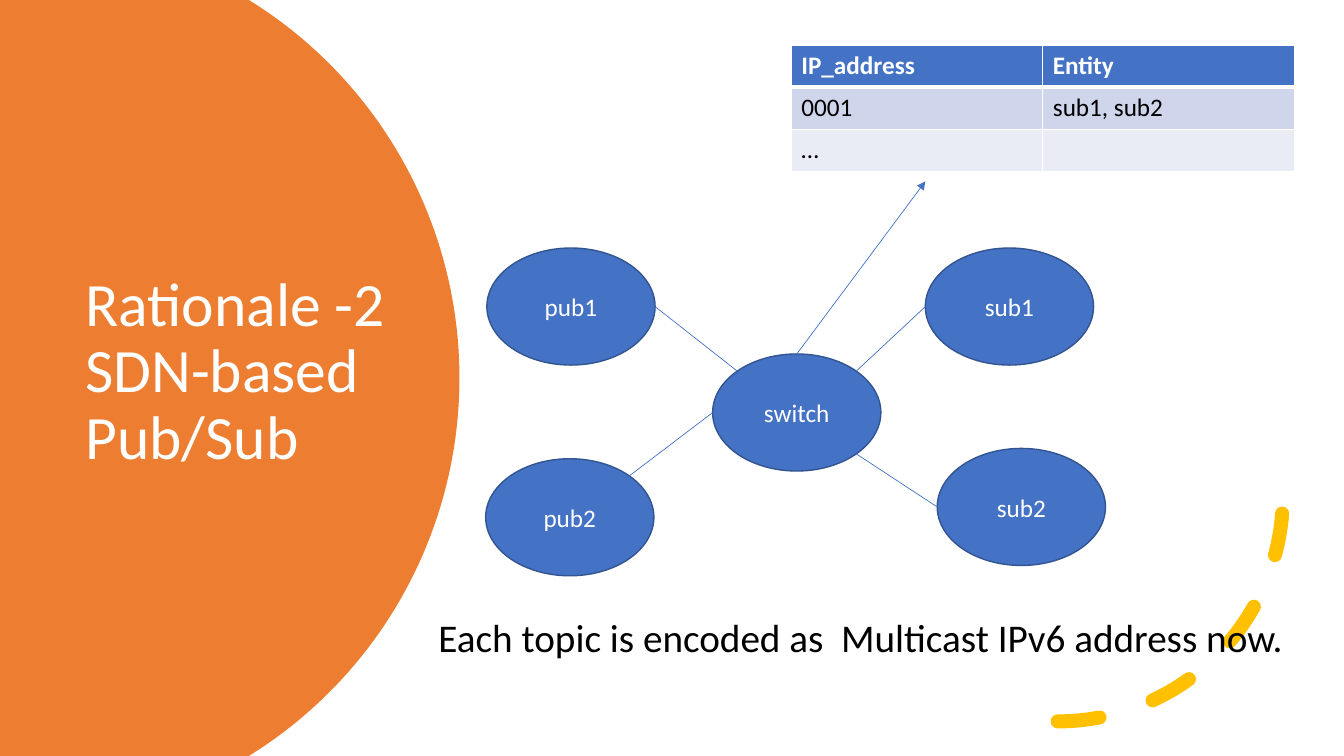
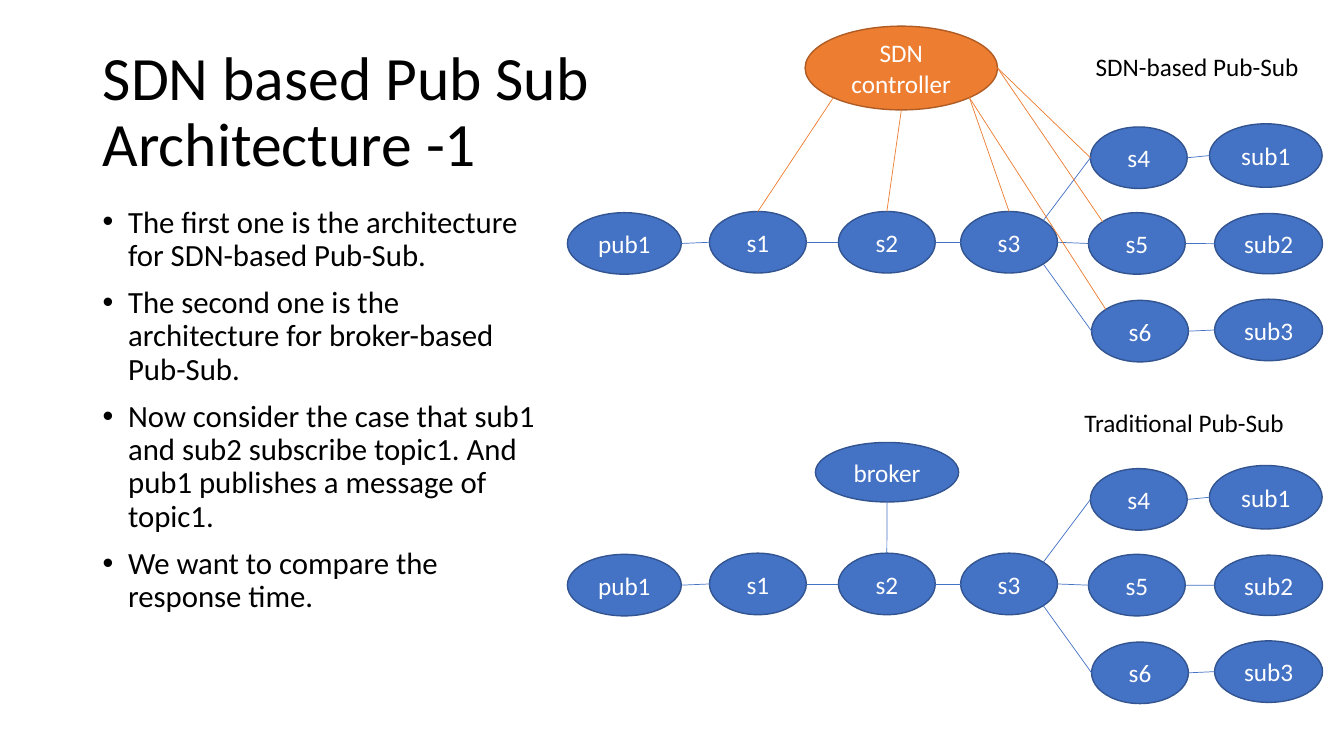
import math
from dataclasses import dataclass

from lxml import etree
from pptx import Presentation
from pptx.dml.color import RGBColor
from pptx.enum.dml import MSO_LINE
from pptx.enum.shapes import MSO_CONNECTOR, MSO_SHAPE
from pptx.enum.text import MSO_ANCHOR, MSO_AUTO_SIZE, PP_ALIGN
from pptx.oxml.ns import qn
from pptx.shapes.autoshape import Shape
from pptx.shapes.connector import Connector
from pptx.slide import Slide
from pptx.table import _Cell
from pptx.util import Cm, Pt

ELLIPSE, ARC = MSO_SHAPE.OVAL, MSO_SHAPE.ARC
STRAIGHT = MSO_CONNECTOR.STRAIGHT
DASH = MSO_LINE.DASH
MIDDLE, TOP = MSO_ANCHOR.MIDDLE, MSO_ANCHOR.TOP
CENTER, LEFT = PP_ALIGN.CENTER, PP_ALIGN.LEFT
GROW = MSO_AUTO_SIZE.SHAPE_TO_FIT_TEXT

FONT = "Calibri"
COLORS = {
    "white": "FFFFFF",
    "black": "000000",
    "blue": "4472C4",
    "blue_edge": "325491",
    "orange": "ED7D31",
    "orange_edge": "AF5C24",
    "gold": "FFC000",
    "band_dark": "CFD5EA",
    "band_light": "E9EBF5",
}
SLIDE_WIDTH, SLIDE_HEIGHT = 33.87, 19.05
N, NW, W, SW, S, SE, E, NE = range(8)


@dataclass(frozen=True)
class Node:
    name: str
    left: float
    top: float
    width: float = 2.44
    height: float = 1.55
    color: str = "blue"

    def site(self, index: int) -> tuple[float, float]:
        angle = math.radians(45 * index)
        return (self.left + self.width / 2 * (1 - math.sin(angle)),
                self.top + self.height / 2 * (1 - math.cos(angle)))


@dataclass(frozen=True)
class Link:
    start: str
    start_site: int
    end: str
    end_site: int
    color: str = "blue"


PUB_SUB_SIZE = (4.24, 2.95)
PUB_SUB_NODES = [
    Node("pub2", 12.24, 11.56, *PUB_SUB_SIZE),
    Node("pub1", 12.27, 6.25, *PUB_SUB_SIZE),
    Node("switch", 17.96, 8.92, *PUB_SUB_SIZE),
    Node("sub1", 23.32, 6.25, *PUB_SUB_SIZE),
    Node("sub2", 23.62, 11.3, *PUB_SUB_SIZE),
]
PUB_SUB_LINKS = [
    Link("pub2", NE, "switch", W),
    Link("switch", NE, "sub1", W),
    Link("switch", SE, "sub2", W),
    Link("pub1", E, "switch", NW),
]
ADDRESS_ROWS = [("IP_address", "Entity"), ("0001", "sub1, sub2"), ("…", "")]
ROW_FILLS = ["blue", "band_dark", "band_light"]

NETWORK_NODES = [
    Node("pub1", 14.3, 5.36, 2.87),
    Node("s1", 17.88, 5.33),
    Node("s2", 21.13, 5.33),
    Node("s3", 24.21, 5.33),
    Node("s4", 27.48, 3.2),
    Node("s5", 27.43, 5.36),
    Node("s6", 27.51, 7.57),
    Node("sub1", 30.48, 3.12, 2.84, 1.6),
    Node("sub2", 30.61, 5.38, 2.72, 1.52),
    Node("sub3", 30.61, 7.54, 2.72),
]
NETWORK_LINKS = [
    Link("pub1", E, "s1", W),
    Link("s1", E, "s2", W),
    Link("s2", E, "s3", W),
    Link("s3", E, "s5", W),
    Link("s3", NE, "s4", W),
    Link("s3", SE, "s6", W),
    Link("s4", E, "sub1", W),
    Link("s5", E, "sub2", W),
    Link("s6", E, "sub3", W),
]
CONTROLLER = Node("SDN controller", 20.29, 0.66, 4.85, 2.11, "orange")
CONTROLLER_LINKS = [
    Link(CONTROLLER.name, start_site, end, end_site, "orange")
    for start_site, end, end_site in [
        (SW, "s1", N), (S, "s2", N), (SE, "s3", N),
        (E, "s4", W), (SE, "s6", NW), (E, "s5", NW),
    ]
]
BROKER = Node("broker", 20.55, 11.15, 3.61, 1.5)
BROKER_LINKS = [Link("s2", N, "broker", S)]
TRADITIONAL_OFFSET = 8.61
BULLETS = [
    "The first one is the architecture for SDN-based Pub-Sub.",
    "The second one is the architecture for broker-based Pub-Sub.",
    "Now consider the case that sub1 and sub2 subscribe topic1. "
    "And pub1 publishes a message of topic1.",
    "We want to compare the response time.",
]


def rgb(name: str) -> RGBColor:
    return RGBColor.from_string(COLORS[name])


def format_text(holder: Shape | _Cell, size: float, color: str,
                align: PP_ALIGN = LEFT, bold: bool = False) -> None:
    for paragraph in holder.text_frame.paragraphs:
        paragraph.alignment = align
        for run in paragraph.runs:
            run.font.name = FONT
            run.font.size = Pt(size)
            run.font.bold = bold
            run.font.color.rgb = rgb(color)


def add_text(slide: Slide, text: str, box: tuple[float, float, float, float],
             size: float, color: str = "black", anchor: MSO_ANCHOR = TOP,
             wrap: bool = True) -> Shape:
    shape = slide.shapes.add_textbox(*map(Cm, box))
    frame = shape.text_frame
    frame.word_wrap = wrap
    frame.vertical_anchor = anchor
    if not wrap:
        frame.auto_size = GROW
    frame.text = text
    format_text(shape, size, color)
    return shape


def add_title(slide: Slide, text: str, box: tuple[float, float, float, float],
              color: str) -> None:
    shape = add_text(slide, text, box, 44, color, MIDDLE)
    shape.text_frame.paragraphs[0].line_spacing = 0.9


def add_node(slide: Slide, node: Node) -> Shape:
    shape = slide.shapes.add_shape(
        ELLIPSE, Cm(node.left), Cm(node.top), Cm(node.width), Cm(node.height))
    shape.shadow.inherit = False
    shape.fill.solid()
    shape.fill.fore_color.rgb = rgb(node.color)
    shape.line.color.rgb = rgb(f"{node.color}_edge")
    shape.line.width = Pt(1)
    shape.text_frame.vertical_anchor = MIDDLE
    shape.text_frame.text = node.name
    format_text(shape, 18, "white", CENTER)
    return shape


def add_line(slide: Slide, start: tuple[float, float], end: tuple[float, float],
             color: str) -> Connector:
    connector = slide.shapes.add_connector(STRAIGHT, *map(Cm, (*start, *end)))
    connector.line.color.rgb = rgb(color)
    connector.line.width = Pt(0.5)
    etree.SubElement(connector._element.spPr, qn("a:effectLst"))
    return connector


def glue(connector: Connector, tag: str, shape: Shape, site: int) -> None:
    properties = connector._element.nvCxnSpPr.cNvCxnSpPr
    etree.SubElement(properties, qn(tag), id=str(shape.shape_id), idx=str(site))


def add_graph(slide: Slide, nodes: list[Node], links: list[Link]) -> dict[str, Shape]:
    by_name = {node.name: node for node in nodes}
    shapes = {node.name: add_node(slide, node) for node in nodes}
    for link in links:
        connector = add_line(slide, by_name[link.start].site(link.start_site),
                             by_name[link.end].site(link.end_site), link.color)
        glue(connector, "a:stCxn", shapes[link.start], link.start_site)
        glue(connector, "a:endCxn", shapes[link.end], link.end_site)
    return shapes


def add_side_disc(slide: Slide) -> None:
    center_x, center_y, radius, steps = 0.38, SLIDE_HEIGHT / 2, 11.2, 90
    limit = math.asin(center_y / radius)
    angles = [limit * (2 * step / steps - 1) for step in range(steps + 1)]
    rim = [(Cm(center_x + radius * math.cos(angle)),
            Cm(center_y + radius * math.sin(angle))) for angle in angles]
    builder = slide.shapes.build_freeform(0, 0)
    builder.add_line_segments([*rim, (0, Cm(SLIDE_HEIGHT))], close=True)
    disc = builder.convert_to_shape()
    disc.shadow.inherit = False
    disc.fill.solid()
    disc.fill.fore_color.rgb = rgb("orange")
    disc.line.fill.background()


def add_dashed_arc(slide: Slide) -> None:
    arc = slide.shapes.add_shape(ARC, Cm(20.98), Cm(6.83), Cm(11.35), Cm(11.35))
    arc.shadow.inherit = False
    arc.fill.background()
    arc.line.color.rgb = rgb("gold")
    arc.line.width = Pt(10)
    arc.line.dash_style = DASH
    arc._element.spPr.find(qn("a:ln")).set("cap", "rnd")
    arc._element.spPr.find(qn("a:xfrm")).set("flipV", "1")


def set_borders(cell: _Cell, top: float, bottom: float) -> None:
    properties = cell._tc.get_or_add_tcPr()
    for side, width in {"L": 1, "R": 1, "T": top, "B": bottom}.items():
        line = etree.SubElement(properties, qn(f"a:ln{side}"), w=str(Pt(width)))
        fill = etree.SubElement(line, qn("a:solidFill"))
        etree.SubElement(fill, qn("a:srgbClr"), val=COLORS["white"])


def add_address_table(slide: Slide) -> None:
    table = slide.shapes.add_table(
        len(ADDRESS_ROWS), 2, Cm(19.94), Cm(1.14), Cm(12.68), Cm(3.18)).table
    for row, (texts, fill) in enumerate(zip(ADDRESS_ROWS, ROW_FILLS)):
        header = row == 0
        for column, text in enumerate(texts):
            cell = table.cell(row, column)
            set_borders(cell, 3 if row == 1 else 1, 3 if header else 1)
            cell.fill.solid()
            cell.fill.fore_color.rgb = rgb(fill)
            cell.text_frame.text = text
            format_text(cell, 18, "white" if header else "black", bold=header)


def add_bullets(slide: Slide) -> None:
    shape = add_text(slide, "\n".join(BULLETS), (2.34, 5.08, 11.84, 12.65), 22)
    for paragraph in shape.text_frame.paragraphs:
        paragraph.line_spacing = 0.9
        paragraph.space_before = Pt(10)
        properties = paragraph._p.get_or_add_pPr()
        properties.set("marL", str(Cm(0.64)))
        properties.set("indent", str(-Cm(0.64)))
        etree.SubElement(properties, qn("a:buFont"), typeface="Arial")
        etree.SubElement(properties, qn("a:buChar"), char="•")


def build_rationale(slide: Slide) -> None:
    add_side_disc(slide)
    add_title(slide, "Rationale -2\vSDN-based Pub/Sub", (1.9, 3.2, 8.89, 12.4), "white")
    add_dashed_arc(slide)
    add_text(slide, "Each topic is encoded as  Multicast IPv6 address now.",
             (10.8, 15.32, 22.28, 1.45), 28, wrap=False)
    shapes = add_graph(slide, PUB_SUB_NODES, PUB_SUB_LINKS)
    add_address_table(slide)
    switch = next(node for node in PUB_SUB_NODES if node.name == "switch")
    arrow = add_line(slide, switch.site(N), (23.32, 4.57), "blue")
    glue(arrow, "a:stCxn", shapes["switch"], N)
    etree.SubElement(arrow._element.spPr.find(qn("a:ln")), qn("a:tailEnd"), type="triangle")


def build_architecture(slide: Slide) -> None:
    add_title(slide, "SDN based Pub Sub Architecture -1", (2.34, 1.02, 14.99, 3.68), "black")
    add_bullets(slide)
    traditional = [Node(node.name, node.left, node.top + TRADITIONAL_OFFSET,
                        node.width, node.height) for node in NETWORK_NODES]
    add_graph(slide, [*NETWORK_NODES, CONTROLLER], NETWORK_LINKS + CONTROLLER_LINKS)
    add_graph(slide, [*traditional, BROKER], NETWORK_LINKS + BROKER_LINKS)
    add_text(slide, "SDN-based Pub-Sub", (27.36, 1.17, 5.69, 1.02), 18, wrap=False)
    add_text(slide, "Traditional Pub-Sub", (27.08, 10.13, 5.59, 1.02), 18, wrap=False)


def main() -> None:
    presentation = Presentation()
    presentation.slide_width = Cm(SLIDE_WIDTH)
    presentation.slide_height = Cm(SLIDE_HEIGHT)
    blank = presentation.slide_layouts[6]
    for build in (build_rationale, build_architecture):
        build(presentation.slides.add_slide(blank))
    presentation.save("out.pptx")


if __name__ == "__main__":
    main()
